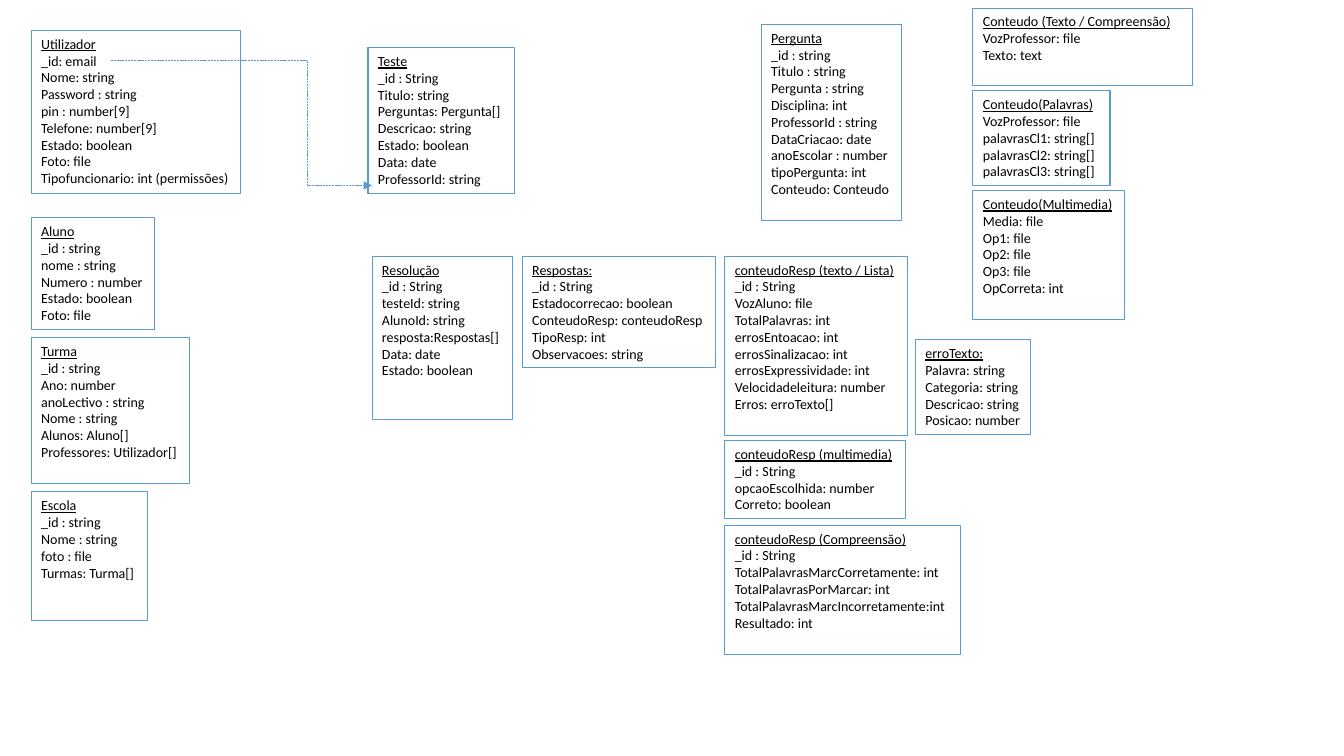
"""Data model diagram: entity boxes with their fields and one reference arrow."""
from dataclasses import dataclass

from lxml.etree import SubElement
from pptx import Presentation
from pptx.dml.color import RGBColor
from pptx.enum.dml import MSO_LINE
from pptx.enum.shapes import MSO_CONNECTOR
from pptx.enum.text import MSO_AUTO_SIZE
from pptx.oxml.ns import qn
from pptx.slide import Slide
from pptx.util import Emu, Pt

PX = 9144
BLUE = RGBColor(0x5B, 0x9B, 0xD5)
BLACK = RGBColor(0x00, 0x00, 0x00)
FONT = "Calibri"


@dataclass(frozen=True)
class Entity:
    """A titled box of fields, placed in px."""

    x: int
    y: int
    w: int
    h: int
    title: str
    fields: tuple[str, ...]


ENTITIES = (
    Entity(31, 30, 208, 162, "Utilizador", (
        "_id: email", "Nome: string", "Password : string", "pin : number[9]",
        "Telefone: number[9]", "Estado: boolean", "Foto: file",
        "Tipofuncionario: int (permissões)")),
    Entity(31, 216, 122, 111, "Aluno", (
        "_id : string", "nome : string", "Numero : number", "Estado: boolean",
        "Foto: file")),
    Entity(755, 24, 139, 195, "Pergunta", (
        "_id : string", "Titulo : string", "Pergunta : string",
        "Disciplina: int", "ProfessorId : string", "DataCriacao: date",
        "anoEscolar : number", "tipoPergunta: int", "Conteudo: Conteudo")),
    Entity(965, 8, 218, 77, "Conteudo (Texto / Compreensão)", (
        "VozProfessor: file", "Texto: text")),
    Entity(965, 90, 136, 94, "Conteudo(Palavras)", (
        "VozProfessor: file", "palavrasCl1: string[]",
        "palavrasCl2: string[]", "palavrasCl3: string[]")),
    Entity(31, 488, 115, 128, "Escola", (
        "_id : string", "Nome : string", "foto : file", "Turmas: Turma[]")),
    Entity(31, 335, 157, 145, "Turma", (
        "_id : string", "Ano: number", "anoLectivo : string", "Nome : string",
        "Alunos: Aluno[]", "Professores: Utilizador[]")),
    Entity(365, 47, 145, 145, "Teste", (
        "_id : String", "Titulo: string", "Perguntas: Pergunta[]",
        "Descricao: string", "Estado: boolean", "Data: date",
        "ProfessorId: string")),
    Entity(965, 189, 150, 128, "Conteudo(Multimedia)", (
        "Media: file", "Op1: file", "Op2: file", "Op3: file",
        "OpCorreta: int")),
    Entity(369, 254, 139, 162, "Resolução", (
        "_id : String", "testeId: string", "AlunoId: string",
        "resposta:Respostas[]", "Data: date", "Estado: boolean")),
    Entity(518, 254, 192, 111, "Respostas:", (
        "_id : String", "Estadocorrecao: boolean",
        "ConteudoResp: conteudoResp", "TipoResp: int",
        "Observacoes: string")),
    Entity(719, 254, 181, 178, "conteudoResp (texto / Lista)", (
        "_id : String", "VozAluno: file", "TotalPalavras: int",
        "errosEntoacao: int", "errosSinalizacao: int",
        "errosExpressividade: int", "Velocidadeleitura: number",
        "Erros: erroTexto[]")),
    Entity(908, 337, 114, 94, "erroTexto:", (
        "Palavra: string", "Categoria: string", "Descricao: string",
        "Posicao: number")),
    Entity(719, 437, 179, 77, "conteudoResp (multimedia)", (
        "_id : String", "opcaoEscolhida: number", "Correto: boolean")),
    Entity(719, 521, 234, 128, "conteudoResp (Compreensão)", (
        "_id : String", "TotalPalavrasMarcCorretamente: int",
        "TotalPalavrasPorMarcar: int", "TotalPalavrasMarcIncorretamente:int",
        "Resultado: int")),
)


def px(n: int) -> Emu:
    """Turn px into EMU."""
    return Emu(n * PX)


def add_entity(s: Slide, e: Entity) -> None:
    """Draw an outlined box with an underlined title above its fields."""
    sp = s.shapes.add_textbox(px(e.x), px(e.y), px(e.w), px(e.h))
    sp.line.color.rgb = BLUE
    sp.line.width = Pt(0.75)
    tf = sp.text_frame
    tf.word_wrap = True
    tf.auto_size = MSO_AUTO_SIZE.NONE
    tf.margin_right = 0
    tf.text = "\n".join((e.title, *e.fields))
    for p in tf.paragraphs:
        p.font.name = FONT
        p.font.size = Pt(10)
        p.font.color.rgb = BLACK
    tf.paragraphs[0].font.underline = True


def add_reference(s: Slide, x1: int, y1: int, x2: int, y2: int, bend: int) -> None:
    """Draw a dashed elbow arrow that turns at x = bend."""
    cxn = s.shapes.add_connector(
        MSO_CONNECTOR.ELBOW, px(x1), px(y1), px(x2), px(y2))
    cxn.line.color.rgb = BLUE
    cxn.line.width = Pt(0.5)
    cxn.line.dash_style = MSO_LINE.SQUARE_DOT
    spPr = cxn.element.spPr
    SubElement(spPr.find(qn("a:ln")), qn("a:tailEnd"), type="triangle")
    SubElement(spPr, qn("a:effectLst"))
    ratio = round(100000 * (bend - x1) / (x2 - x1))
    SubElement(spPr.find(qn("a:prstGeom")).find(qn("a:avLst")), qn("a:gd"),
               name="adj1", fmla=f"val {ratio}")


def main() -> None:
    """Build the slide and save it."""
    prs = Presentation()
    prs.slide_width, prs.slide_height = px(1333), px(750)
    s = prs.slides.add_slide(prs.slide_layouts[6])
    for e in ENTITIES:
        add_entity(s, e)
    add_reference(s, 110, 60, 369, 184, bend=305)
    prs.save("out.pptx")


if __name__ == "__main__":
    main()
